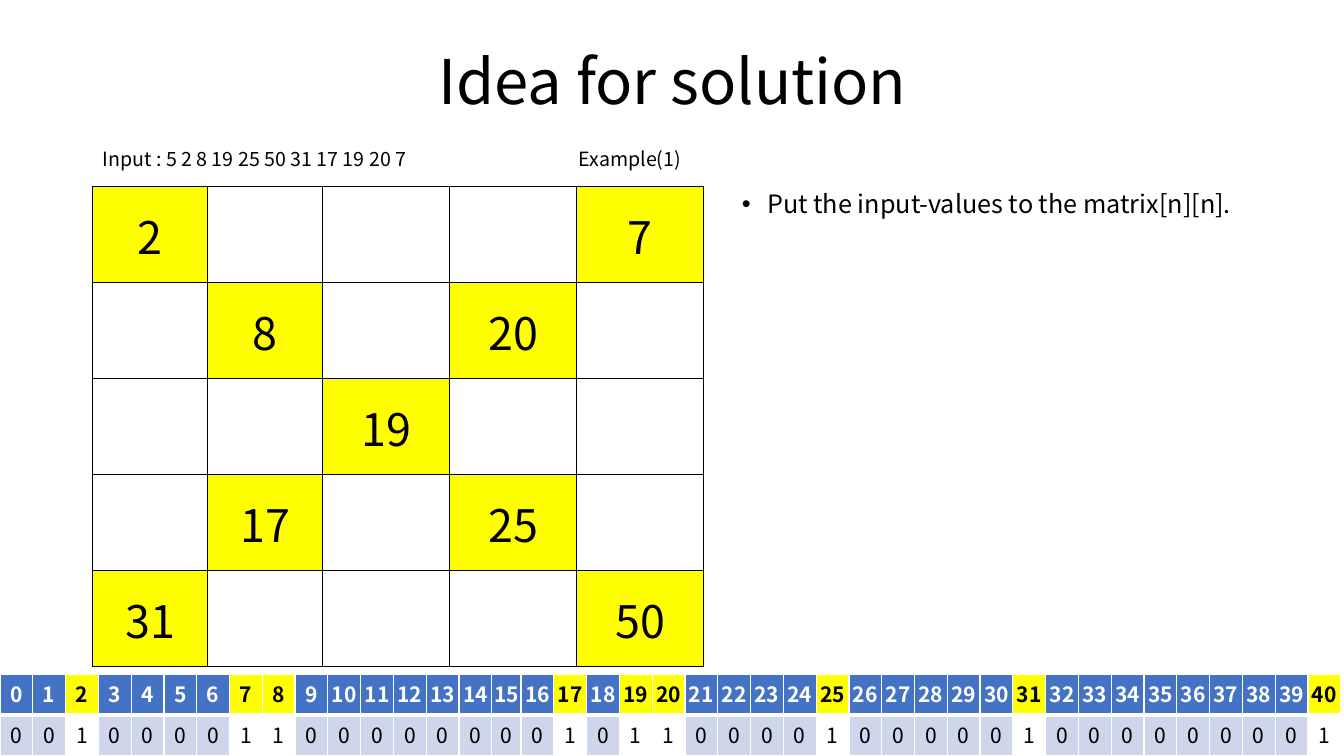
from lxml import etree
from pptx import Presentation
from pptx import util as u
from pptx.dml.color import RGBColor
from pptx.enum import text
from pptx.oxml import ns

FONT = "Noto Sans CJK KR"
BLACK, WHITE, YELLOW = "000000", "FFFFFF", "FFFF00"
BLUE, PALE_BLUE = "4472C4", "CFD5EA"


def format_paragraph(paragraph, size, color=BLACK, bold=False, align=text.PP_ALIGN.LEFT):
    paragraph.alignment = align
    paragraph.font.name = FONT
    paragraph.font.size = u.Pt(size)
    paragraph.font.bold = bold
    paragraph.font.color.rgb = RGBColor.from_string(color)


def set_borders(cell, color, **widths):
    """Draw the four sides; they must precede the fill in the cell properties."""
    properties = cell._tc.get_or_add_tcPr()
    for index, side in enumerate(("lnL", "lnR", "lnT", "lnB")):
        line = etree.Element(ns.qn(f"a:{side}"), w=str(u.Pt(widths.get(side, 1))))
        fill = etree.SubElement(line, ns.qn("a:solidFill"))
        etree.SubElement(fill, ns.qn("a:srgbClr"), val=color)
        properties.insert(index, line)


presentation = Presentation()
presentation.slide_width = u.Inches(13.33)
presentation.slide_height = u.Inches(7.5)
slide = presentation.slides.add_slide(presentation.slide_layouts[5])

# Title
title = slide.shapes.title
title.left, title.top = u.Inches(0.92), u.Inches(0.11)
title.width, title.height = u.Inches(11.5), u.Inches(1.45)
title.text_frame.text = "Idea for solution"
title.text_frame.vertical_anchor = text.MSO_ANCHOR.MIDDLE
format_paragraph(title.text_frame.paragraphs[0], 44, align=text.PP_ALIGN.CENTER)
title.text_frame.paragraphs[0].line_spacing = 0.9

# Bullet text and the two captions over the matrix
texts = [
    ("Put the input-values to the matrix[n][n].", 7.26, 1.85, 5.21, 4.76, 18, True),
    ("Input : 5 2 8 19 25 50 31 17 19 20 7", 0.92, 1.43, 6.04, 0.42, 14, False),
    ("Example(1)", 5.64, 1.43, 1.32, 0.42, 14, False),
]
for wording, left, top, width, height, size, bulleted in texts:
    box = slide.shapes.add_textbox(
        u.Inches(left), u.Inches(top), u.Inches(width), u.Inches(height))
    box.text_frame.word_wrap = True
    paragraph = box.text_frame.paragraphs[0]
    paragraph.text = wording
    format_paragraph(paragraph, size)
    paragraph.line_spacing = 0.9
    paragraph.space_before = u.Pt(10)
    if bulleted:
        properties = paragraph._p.get_or_add_pPr()
        properties.set("marL", str(u.Inches(0.25)))
        properties.set("indent", str(u.Inches(-0.25)))
        bullet_font = etree.Element(ns.qn("a:buFont"), typeface="Arial")
        bullet = etree.Element(ns.qn("a:buChar"), char="•")
        properties.insert_element_before(bullet_font, "a:defRPr")
        properties.insert_element_before(bullet, "a:defRPr")

# Presence table: each number and whether it occurs in the input
present = {2, 7, 8, 17, 19, 20, 25, 31, 40}
count = 41
narrow_column, narrow_width, table_width = 15, 0.29, 13.3
frame = slide.shapes.add_table(
    2, count, 0, u.Inches(6.69), u.Inches(table_width), u.Inches(0.81))
presence = frame.table
presence.horz_banding = False
for number in range(count):
    wide = (table_width - narrow_width) / (count - 1)
    presence.columns[number].width = u.Inches(
        narrow_width if number == narrow_column else wide)
    found = number in present
    header, flag = presence.cell(0, number), presence.cell(1, number)
    header.text, flag.text = str(number), str(int(found))
    for cell, fill, color in (
        (header, YELLOW if found else BLUE, BLACK if found else WHITE),
        (flag, WHITE if found else PALE_BLUE, BLACK),
    ):
        cell.margin_left = cell.margin_right = cell.margin_bottom = 0
        cell.margin_top = u.Inches(0.04)
        cell.fill.solid()
        cell.fill.fore_color.rgb = RGBColor.from_string(fill)
        format_paragraph(cell.text_frame.paragraphs[0], 15, color,
                         cell is header, text.PP_ALIGN.CENTER)
    set_borders(header, WHITE, lnB=3)
    set_borders(flag, WHITE, lnT=3)

# Matrix with the input values on its diagonals
values = [
    [2, None, None, None, 7],
    [None, 8, None, 20, None],
    [None, None, 19, None, None],
    [None, 17, None, 25, None],
    [31, None, None, None, 50],
]
frame = slide.shapes.add_table(
    5, 5, u.Inches(0.92), u.Inches(1.85), u.Inches(6.04), u.Inches(4.76))
matrix = frame.table
matrix.first_row = matrix.horz_banding = False
for column, width in zip(matrix.columns, (1.14, 1.14, 1.26, 1.26, 1.26)):
    column.width = u.Inches(width)
for row, row_values in enumerate(values):
    for column, value in enumerate(row_values):
        cell = matrix.cell(row, column)
        if value is None:
            cell.fill.background()
        else:
            cell.text = str(value)
            cell.vertical_anchor = text.MSO_ANCHOR.MIDDLE
            cell.margin_left = cell.margin_right = cell.margin_top = u.Inches(0.01)
            cell.margin_bottom = 0
            cell.fill.solid()
            cell.fill.fore_color.rgb = RGBColor.from_string(YELLOW)
            format_paragraph(cell.text_frame.paragraphs[0], 32,
                             align=text.PP_ALIGN.CENTER)
        set_borders(cell, BLACK)

presentation.save("out.pptx")
